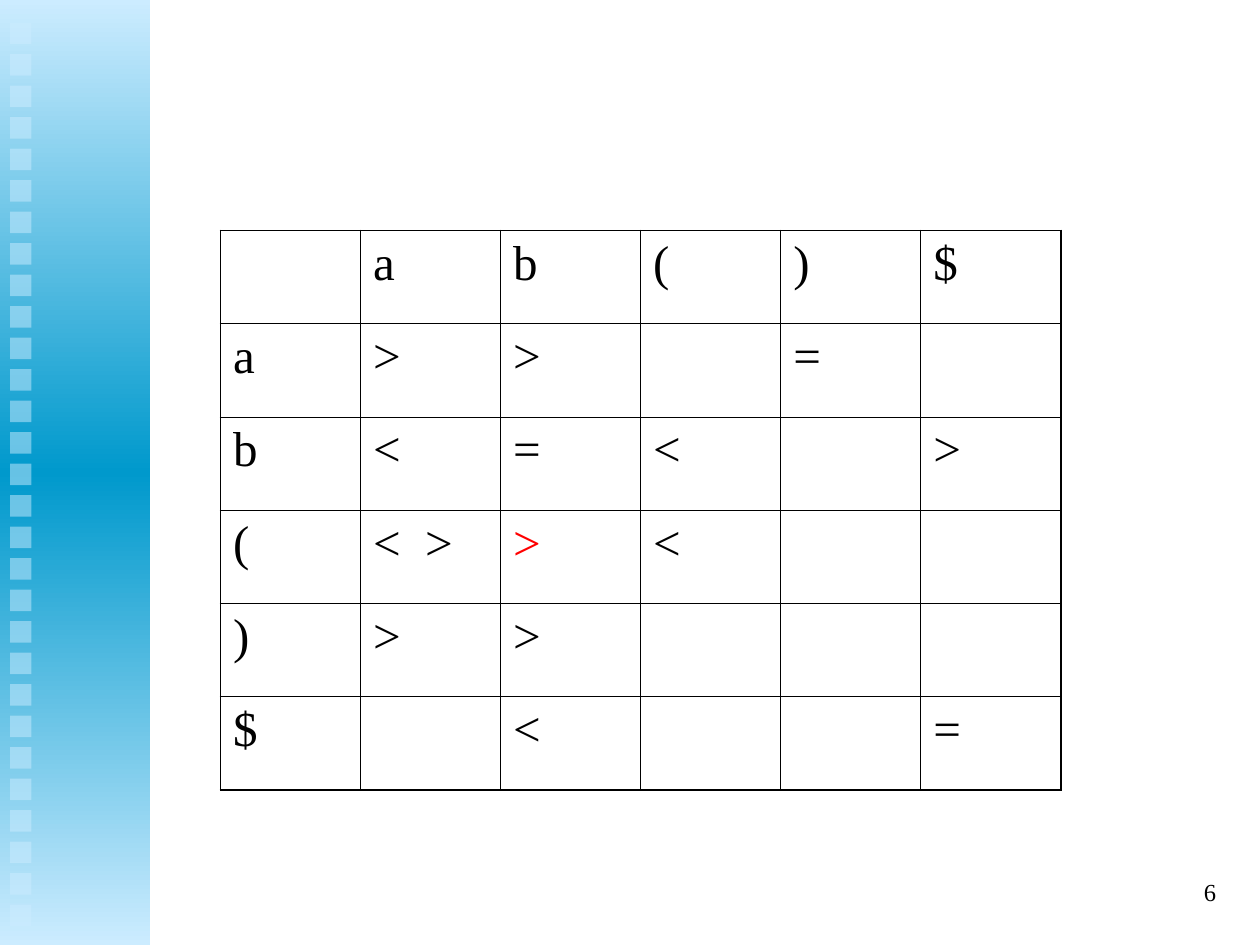
from copy import deepcopy

from lxml import etree
from pptx import Presentation, util as u
from pptx.dml.color import RGBColor
from pptx.enum import shapes as sh, text as tx
from pptx.oxml.ns import qn

WIDE, HIGH = 10, 7.5
HUES = {"pale": "CCECFF", "deep": "0099CC", "ink": "000000", "mark": "FF0000"}
FACE = "Times New Roman"
THIN, THICK = 0.45, 1.08
SIGNS = [
    ["", "a", "b", "(", ")", "$"],
    ["a", ">", ">", "", "=", ""],
    ["b", "<", "=", "<", "", ">"],
    ["(", "<  >", ">", "<", "", ""],
    [")", ">", ">", "", "", ""],
    ["$", "", "<", "", "", "="],
]
MARKED = (3, 2)


def hue(name):
    return RGBColor.from_string(HUES[name])


def apply(item, form):
    for key, val in form.items():
        setattr(item, key, val)


def box(*at):
    return [u.Inches(n) for n in at]


def write(frame, words, size, tint="ink", **form):
    para = frame.paragraphs[0]
    apply(para, form)
    run = para.add_run()
    run.text = words
    apply(run.font, {"name": FACE, "size": u.Pt(size)})
    run.font.color.rgb = hue(tint)


def add_rect(slide, *at):
    rect = slide.shapes.add_shape(sh.MSO_SHAPE.RECTANGLE, *box(*at))
    rect.shadow.inherit = False
    rect.line.fill.background()
    return rect


def add_band(slide):
    band = add_rect(slide, 0, 0, 1.19, HIGH)
    band.fill.gradient()
    band.fill.gradient_angle = 270
    stops = next(band._element.iter(qn("a:gsLst")))
    stops.append(deepcopy(stops[0]))
    looks = [(0, "pale"), (0.5, "deep"), (1, "pale")]
    for stop, (place, name) in zip(band.fill.gradient_stops, looks):
        stop.position = place
        stop.color.rgb = hue(name)


def add_squares(slide, count=29, first=0.18, step=0.25, side=0.17):
    for i in range(count):
        square = add_rect(slide, 0.08, first + i * step, side, side)
        square.fill.solid()
        square.fill.fore_color.rgb = hue("pale")
        tint = next(square._element.iter(qn("a:srgbClr")))
        etree.SubElement(tint, qn("a:alpha"), val="50000")


def add_edges(cell, widths):
    props = cell._tc.get_or_add_tcPr()
    for i, (side, width) in enumerate(widths.items()):
        line = etree.Element(qn("a:ln" + side), w=str(u.Pt(width)))
        fill = etree.SubElement(line, qn("a:solidFill"))
        etree.SubElement(fill, qn("a:srgbClr"), val=HUES["ink"])
        props.insert(i, line)


def add_grid(slide, signs):
    rows, cols = len(signs), len(signs[0])
    at = box(1.75, 1.83, 6.67, 4.44)
    grid = slide.shapes.add_table(rows, cols, *at).table
    apply(grid, {"first_row": False, "horz_banding": False})
    for r, row in enumerate(signs):
        for c, sign in enumerate(row):
            cell = grid.cell(r, c)
            cell.fill.background()
            outer = {"L": c == 0, "R": c == cols - 1, "T": r == 0, "B": r == rows - 1}
            add_edges(cell, {k: THICK if v else THIN for k, v in outer.items()})
            if sign:
                tint = "mark" if (r, c) == MARKED else "ink"
                write(cell.text_frame, sign, 28, tint, space_before=u.Pt(7))


def add_number(slide, words):
    frame = slide.shapes.add_textbox(*box(7.67, 6.83, 2.08, 0.5)).text_frame
    apply(frame, {"word_wrap": True, "vertical_anchor": tx.MSO_ANCHOR.MIDDLE})
    write(frame, words, 14, alignment=tx.PP_ALIGN.RIGHT)


def main():
    deck = Presentation()
    apply(deck, {"slide_width": u.Inches(WIDE), "slide_height": u.Inches(HIGH)})
    slide = deck.slides.add_slide(deck.slide_layouts[6])
    add_band(slide)
    add_squares(slide)
    add_grid(slide, SIGNS)
    add_number(slide, "6")
    deck.save("out.pptx")


if __name__ == "__main__":
    main()
